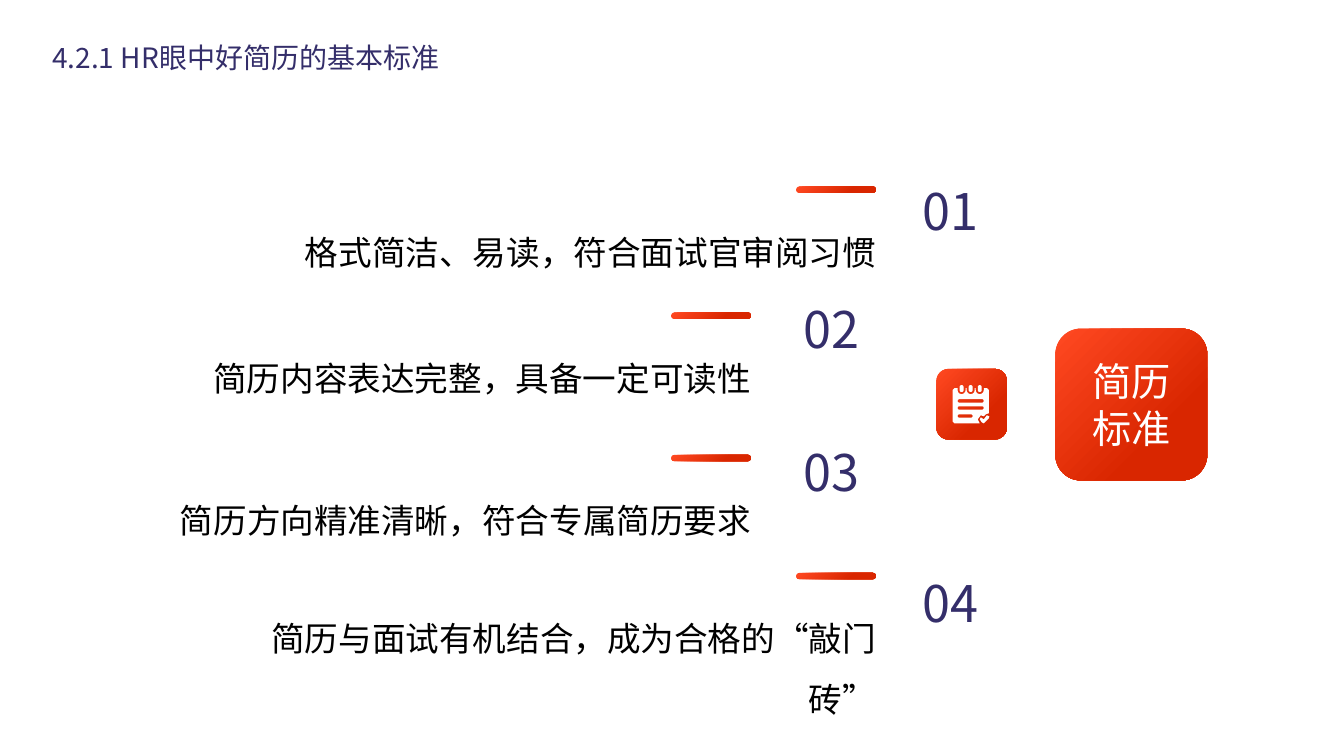
from math import cos, sin, radians
from lxml.etree import SubElement
from pptx import Presentation
from pptx.dml.color import RGBColor
from pptx.enum.shapes import MSO_SHAPE
from pptx.enum.text import MSO_ANCHOR, MSO_AUTO_SIZE, PP_ALIGN
from pptx.oxml.ns import qn
from pptx.util import Pt

COLORS = {"light": "FF4922", "deep": "D92600", "navy": "342E6A",
          "black": "000000", "white": "FFFFFF"}
FONT = "Noto Sans CJK SC"


def color(name):
    return RGBColor.from_string(COLORS[name])


def arc(x, y, r, angles):
    return [(x + r * cos(radians(a)), y + r * sin(radians(a))) for a in angles]


def pill(x, y, w, h):
    """Outline of a bar with round ends."""
    r = min(w, h) / 2
    dots = []
    for a in range(15, 360, 30):
        mid_x = x + w - r if cos(radians(a)) > 0 else x + r
        mid_y = y + h - r if sin(radians(a)) > 0 else y + r
        dots += arc(mid_x, mid_y, r, [a])
    return dots


class Deck:
    def __init__(self):
        self.file = Presentation()
        self.file.slide_width, self.file.slide_height = Pt(960), Pt(540)
        self.slide = self.file.slides.add_slide(self.file.slide_layouts[6])
        self.shapes = self.slide.shapes

    def label(self, frame, words, size, tint, align, space=None):
        frame.word_wrap = True
        para = frame.paragraphs[0]
        para.alignment = align
        if space:
            para.line_spacing = space
        run = para.add_run()
        run.text = words
        run.font.size, run.font.name = Pt(size), FONT
        run.font.color.rgb = color(tint)
        SubElement(run.font._element, qn("a:ea"), typeface=FONT)

    def text(self, x, y, w, h, words, size, tint, align, space=None, pad=True):
        box = self.shapes.add_textbox(Pt(x), Pt(y), Pt(w), Pt(h))
        frame = box.text_frame
        if not pad:
            frame.margin_left = frame.margin_right = 0
            frame.margin_top = frame.margin_bottom = 0
        self.label(frame, words, size, tint, align, space)
        frame.auto_size = MSO_AUTO_SIZE.SHAPE_TO_FIT_TEXT

    def tile(self, x, y, w, h, bend=0.17):
        box = self.shapes.add_shape(MSO_SHAPE.ROUNDED_RECTANGLE,
                                    Pt(x), Pt(y), Pt(w), Pt(h))
        box.shadow.inherit = False
        box.adjustments[0] = bend
        box.line.fill.background()
        box.fill.gradient()
        box.fill.gradient_angle = 315
        stops = zip(box.fill.gradient_stops, ("light", "deep"), (0, 0.7))
        for stop, tint, place in stops:
            stop.color.rgb = color(tint)
            stop.position = place
        return box

    def draw(self, x, y, loops, tint):
        """Fill closed loops, given in thousandths of an inch."""
        pen = self.shapes.build_freeform(*loops[0][0], scale=914.4)
        pen.add_line_segments(loops[0][1:], close=True)
        for loop in loops[1:]:
            pen.move_to(*loop[0])
            pen.add_line_segments(loop[1:], close=True)
        form = pen.convert_to_shape(Pt(x), Pt(y))
        form.shadow.inherit = False
        form.fill.solid()
        form.fill.fore_color.rgb = color(tint)
        form.line.fill.background()


def main():
    deck = Deck()

    # Topic tile
    topic = deck.tile(753.84, 234.72, 108.5, 108.5)
    topic.text_frame.vertical_anchor = MSO_ANCHOR.MIDDLE
    deck.label(topic.text_frame, "简历标准", 28, "white", PP_ALIGN.CENTER)

    # Four standards: bar top, right edge, text width, number left and top
    items = [
        ("格式简洁、易读，符合面试官审阅习惯", 133.2, 625.68, 471.6, 645.84, 128.88),
        ("简历内容表达完整，具备一定可读性", 223.2, 536.4, 471.6, 560.88, 213.12),
        ("简历方向精准清晰，符合专属简历要求", 324.9, 536.4, 433.4, 560.88, 315.36),
        ("简历与面试有机结合，成为合格的“敲门砖”", 409.2, 625.68, 471.6, 645.84, 408.96),
    ]
    for num, (words, top, right, wide, left, high) in enumerate(items, 1):
        deck.text(right - wide, top + 18, wide, 44, words, 24, "black",
                  PP_ALIGN.RIGHT, 1.5, pad=False)
        deck.tile(right - 57, top, 57, 4.5, 0.5)
        deck.text(left, high, 66.24, 44, f"{num:02}", 36, "navy",
                  PP_ALIGN.CENTER, pad=False)

    # Notepad icon
    deck.tile(668.88, 263.52, 50.4, 50.4)
    rings = [50 + 90 * i for i in range(3)]
    page = [(20, 30)]
    for x in rings:
        page += [(x, 30), *arc(x + 40, 50, 40, range(180, -1, -30)), (x + 80, 30)]
    page += [(340, 30), (360, 50), (360, 280), (330, 290), (310, 310),
             (280, 300), (250, 340), (270, 380), (20, 380), (0, 360), (0, 50)]
    tick = [(360, 330), (310, 380), (290, 370), (270, 340), (280, 320),
            (310, 340), (340, 300), (365, 310)]
    rows = [pill(50, y, w, 35) for y, w in ((140, 260), (210, 260), (290, 150))]
    clips = [pill(x + 20, 0, 40, 70) for x in rings]
    deck.draw(680.4, 275.04, [page, tick, *rows, *clips], "white")

    # Heading
    deck.text(30.24, 25.2, 292, 31.7, "4.2.1 HR眼中好简历的基本标准", 20,
              "navy", PP_ALIGN.LEFT)

    deck.file.save("out.pptx")


if __name__ == "__main__":
    main()
